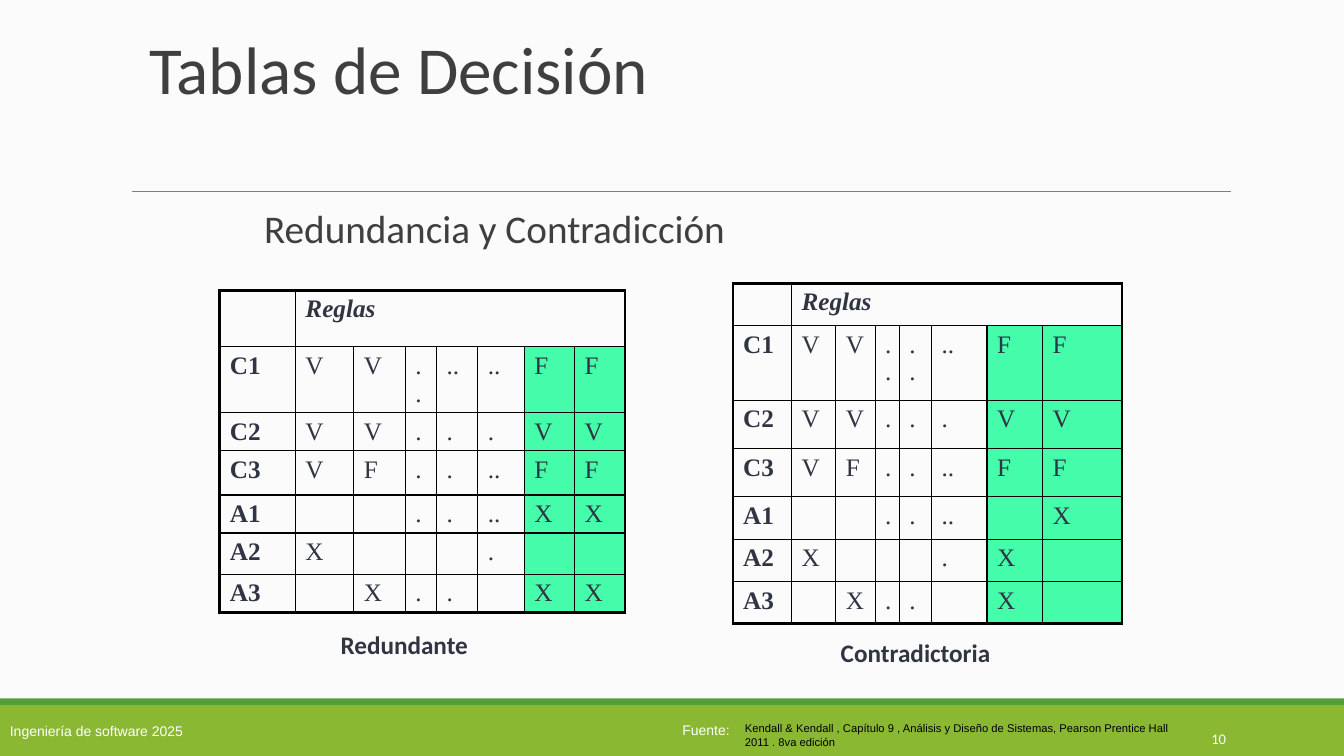
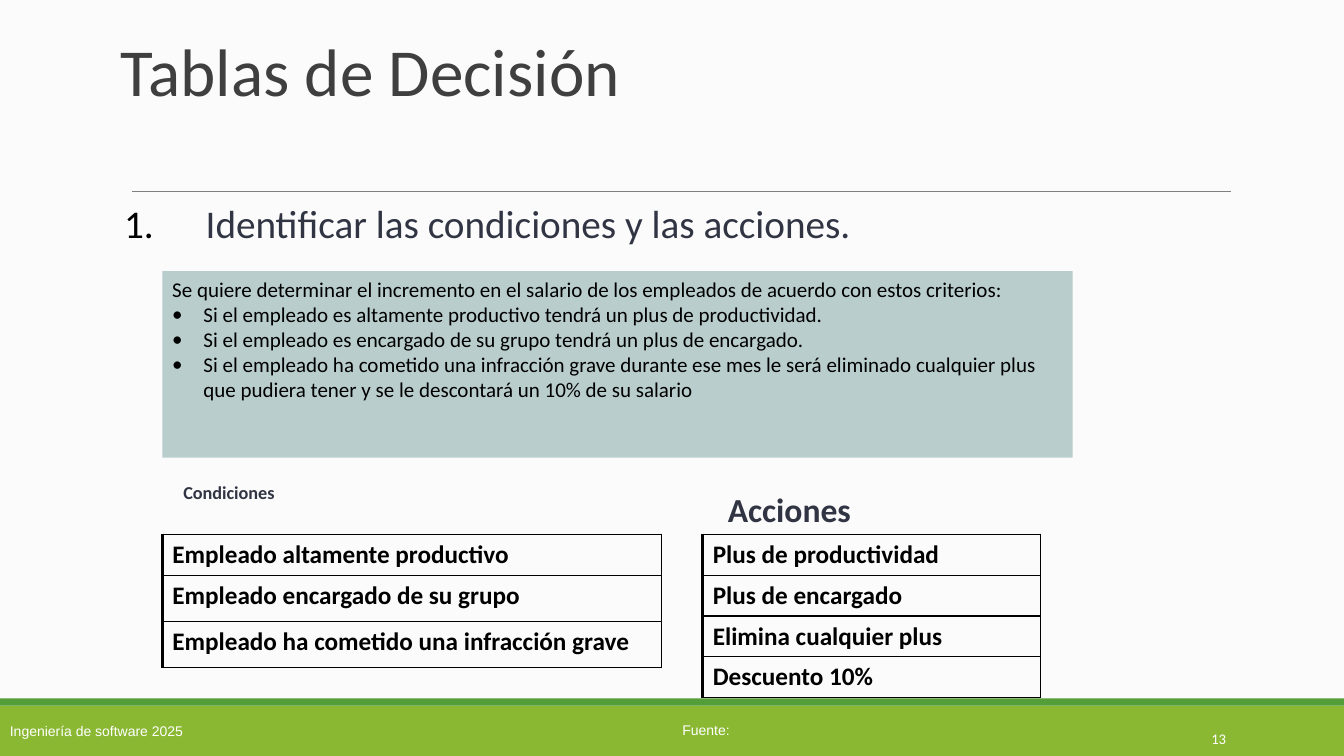
from lxml import etree
from pptx import Presentation
from pptx.dml.color import RGBColor
from pptx.enum.shapes import MSO_CONNECTOR, MSO_SHAPE
from pptx.enum.text import MSO_ANCHOR, MSO_AUTO_SIZE, PP_ALIGN
from pptx.oxml.ns import qn
from pptx.util import Inches, Pt

RECTANGLE = MSO_SHAPE.RECTANGLE
STRAIGHT = MSO_CONNECTOR.STRAIGHT
TOP, MIDDLE, BOTTOM = MSO_ANCHOR.TOP, MSO_ANCHOR.MIDDLE, MSO_ANCHOR.BOTTOM
LEFT, RIGHT = PP_ALIGN.LEFT, PP_ALIGN.RIGHT
NO_AUTOFIT = MSO_AUTO_SIZE.NONE

PAPER = RGBColor(0xFB, 0xFB, 0xFB)
GREEN = RGBColor(0x8A, 0xB8, 0x33)
DARK_GREEN = RGBColor(0x54, 0x9E, 0x39)
RULE_GRAY = RGBColor(0x7F, 0x7F, 0x7F)
TITLE_GRAY = RGBColor(0x3F, 0x3F, 0x3F)
INK = RGBColor(0x31, 0x35, 0x43)
MINT = RGBColor(0x44, 0xFC, 0xA9)
PANEL = RGBColor(0xB9, 0xCD, 0xCD)
BLACK = RGBColor(0, 0, 0)
WHITE = RGBColor(0xFF, 0xFF, 0xFF)

THIN, THICK = Pt(0.96), Pt(2.21)
SLIDE_WIDTH, SLIDE_HEIGHT = 13.33, 7.5


def style(size, color, name="Calibri", bold=False, italic=False):
    return {"size": Pt(size), "name": name, "bold": bold, "italic": italic}, color


TITLE = style(48, TITLE_GRAY)
SUBTITLE = style(28, TITLE_GRAY)
STEP = style(28, INK)
FOOTER = style(10, WHITE, "Arial")
CITATION = style(8, BLACK, "Arial")
PAGE_NUMBER = style(10.5, WHITE)
CAPTION = style(18, INK, bold=True)
CRITERIA = style(15, BLACK)
ITEM = style(18, BLACK, bold=True)
RULES_HEAD = style(18, INK, "Times New Roman", bold=True, italic=True)
RULE_NAME = style(18, INK, "Times New Roman", bold=True)
RULE_VALUE = style(18, INK, "Times New Roman")

# Content
HEADING = "Tablas de Decisión"
COURSE = "Ingeniería de software 2025"
SOURCE_LABEL = "Fuente:"
BOOK = ("Kendall & Kendall , Capítulo 9 , Análisis y Diseño de Sistemas, "
        "Pearson Prentice Hall 2011 . 8va edición")

# Rule columns that both decision tables share
COMMON_RULES = [
    ["C1", "V", "V", "..", "..", ".."],
    ["C2", "V", "V", ".", ".", "."],
    ["C3", "V", "F", ".", ".", ".."],
    ["A1", "", "", ".", ".", ".."],
    ["A2", "X", "", "", "", "."],
    ["A3", "", "X", ".", ".", ""],
]
DECISION_TABLES = [
    {"place": (7.27, 2.81),
     "columns": [0.58, 0.44, 0.39, 0.24, 0.32, 0.55, 0.55, 0.79],
     "rows": [0.42, 0.74, 0.48, 0.48, 0.42, 0.42, 0.42],
     "clash": ["FF", "VV", "FF", " X", "X ", "X "],
     "caption": ("Contradictoria", (8.24, 6.27, 1.75, 0.4))},
    {"place": (2.18, 2.88),
     "columns": [0.75, 0.58, 0.51, 0.31, 0.41, 0.46, 0.5, 0.5],
     "rows": [0.56, 0.64, 0.37, 0.44, 0.36, 0.41, 0.36],
     "clash": ["FF", "VV", "FF", "XX", "  ", "XX"],
     "caption": ("Redundante", (3.28, 6.19, 1.53, 0.4))},
]

CRITERIA_INTRO = ("Se quiere determinar el incremento en el salario de los empleados "
                  "de acuerdo con estos criterios:")
CRITERIA_LIST = [
    "Si el empleado es altamente productivo tendrá un plus de productividad.",
    "Si el empleado es encargado de su grupo tendrá un plus de encargado.",
    "Si el empleado ha cometido una infracción grave durante ese mes le será eliminado "
    "cualquier plus que pudiera tener y se le descontará un 10% de su salario",
]
ITEM_LISTS = [
    {"label": ("Condiciones", 13, (1.72, 4.73, 1.9, 0.32)),
     "place": (1.61, 5.3), "width": 4.95, "rows": [0.32, 0.46, 0.46],
     "items": ["Empleado altamente productivo", "Empleado encargado de su grupo",
               "Empleado ha cometido una infracción grave"]},
    {"label": ("Acciones", 24, (7.12, 4.8, 2.63, 0.5)),
     "place": (6.97, 5.3), "width": 3.35, "rows": [0.37] * 4,
     "items": ["Plus de productividad", "Plus de encargado",
               "Elimina cualquier plus", "Descuento 10%"]},
]


# Text helpers
def set_bullet(paragraph, kind, indent, hanging, **attributes):
    props = paragraph._p.get_or_add_pPr()
    props.set("marL", str(Inches(indent)))
    props.set("indent", str(-Inches(hanging)))
    if kind != "a:buNone":
        color = etree.SubElement(props, qn("a:buClr"))
        etree.SubElement(color, qn("a:srgbClr"), val=str(BLACK))
        etree.SubElement(props, qn("a:buFont"), typeface="Calibri")
    etree.SubElement(props, qn(kind), **attributes)


def write(paragraph, text, look, align=LEFT, spacing=1.0):
    font_values, color = look
    paragraph.alignment = align
    paragraph.line_spacing = spacing
    paragraph.space_before = Pt(0)
    run = paragraph.add_run()
    run.text = text
    for attribute, value in font_values.items():
        setattr(run.font, attribute, value)
    run.font.color.rgb = color


def set_frame(frame, anchor=TOP, wrap=True, margins=(0.1, 0.05, 0.1, 0.05)):
    values = dict(zip(("margin_left", "margin_top", "margin_right", "margin_bottom"),
                      map(Inches, margins)))
    values.update(auto_size=NO_AUTOFIT, vertical_anchor=anchor, word_wrap=wrap)
    for attribute, value in values.items():
        setattr(frame, attribute, value)
    return frame.paragraphs[0]


def place_shape(shape, box):
    for attribute, value in zip(("left", "top", "width", "height"), box):
        setattr(shape, attribute, Inches(value))


def add_label(slide, text, box, look, anchor=TOP, align=LEFT, wrap=True):
    label = slide.shapes.add_textbox(*map(Inches, box))
    write(set_frame(label.text_frame, anchor, wrap), text, look, align)


def add_block(slide, box, color):
    block = slide.shapes.add_shape(RECTANGLE, *map(Inches, box))
    block.shadow.inherit = False
    block.fill.solid()
    block.fill.fore_color.rgb = color
    block.line.fill.background()
    return block


# Table helpers
def set_borders(cell, widths):
    props = cell._tc.get_or_add_tcPr()
    for position, (side, width) in enumerate(zip(("lnL", "lnR", "lnT", "lnB"), widths)):
        line = etree.Element(qn(f"a:{side}"), w=str(width))
        fill = etree.SubElement(line, qn("a:solidFill"))
        etree.SubElement(fill, qn("a:srgbClr"), val=str(BLACK))
        props.insert(position, line)


def add_grid(slide, place, columns, rows, framed):
    """Bordered table; a framed one is thick all round, others only on the left."""
    size = sum(columns), sum(rows)
    grid = slide.shapes.add_table(len(rows), len(columns),
                                  *map(Inches, place + size)).table
    grid.first_row = grid.horz_banding = False
    for column, width in zip(grid.columns, columns):
        column.width = Inches(width)
    for r, height in enumerate(rows):
        grid.rows[r].height = Inches(height)
        for c in range(len(columns)):
            cell = grid.cell(r, c)
            cell.fill.background()
            edges = (c == 0, framed and c == len(columns) - 1,
                     framed and r == 0, framed and r == len(rows) - 1)
            set_borders(cell, [THICK if edge else THIN for edge in edges])
    return grid


def fill_cell(cell, text, look):
    paragraph = cell.text_frame.paragraphs[0]
    if text:
        write(paragraph, text, look)
    else:
        etree.SubElement(paragraph._p, qn("a:endParaRPr"), sz="1200")


def add_decision_table(slide, spec_table):
    grid = add_grid(slide, spec_table["place"], spec_table["columns"],
                    spec_table["rows"], framed=True)
    last = len(spec_table["columns"]) - 1
    header = grid.cell(0, 1)
    header.merge(grid.cell(0, last))
    set_borders_right = header._tc.tcPr.find(qn("a:lnR"))
    set_borders_right.set("w", str(THICK))
    fill_cell(grid.cell(0, 0), "", RULE_NAME)
    fill_cell(header, "Reglas", RULES_HEAD)
    for r, (common, clash) in enumerate(zip(COMMON_RULES, spec_table["clash"]), start=1):
        for c, value in enumerate(common + list(clash)):
            cell = grid.cell(r, c)
            fill_cell(cell, value.strip(), RULE_VALUE if c else RULE_NAME)
            if c >= len(common):
                cell.fill.solid()
                cell.fill.fore_color.rgb = MINT
    add_label(slide, *spec_table["caption"], CAPTION)


# Shared slide parts
def add_slide(prs, number, title_box, title_margins):
    slide = prs.slides.add_slide(prs.slide_layouts[1])
    band = add_block(slide, (0, 7, SLIDE_WIDTH, 0.5), GREEN)
    write(set_frame(band.text_frame, MIDDLE), COURSE, FOOTER)
    add_block(slide, (0, 6.93, SLIDE_WIDTH, 0.07), DARK_GREEN)
    rule = slide.shapes.add_connector(STRAIGHT, *map(Inches, (1.31, 1.9, 12.21, 1.9)))
    rule.line.color.rgb = RULE_GRAY
    rule.line.width = Pt(0.75)
    etree.SubElement(rule._element.spPr, qn("a:effectLst"))
    add_label(slide, SOURCE_LABEL, (6.67, 7.11, 0.67, 0.26), FOOTER, wrap=False)
    add_label(slide, str(number), (10.83, 7.06, 1.43, 0.4), PAGE_NUMBER, BOTTOM, RIGHT)

    title = slide.shapes.title
    place_shape(title, title_box)
    write(set_frame(title.text_frame, margins=title_margins), HEADING, TITLE, spacing=0.85)
    return slide


def build_redundancy(prs):
    slide = add_slide(prs, 10, (1.38, 0.39, 11.29, 1.25), (0.1, 0, 0.1, 0))
    subtitle = slide.placeholders[1]
    place_shape(subtitle, (2.33, 2.1, 11, 0.6))
    paragraph = set_frame(subtitle.text_frame, margins=(0, 0, 0, 0))
    set_bullet(paragraph, "a:buNone", 0.29, 0)
    write(paragraph, "Redundancia y Contradicción", SUBTITLE, spacing=0.85)
    for decision_table in DECISION_TABLES:
        add_decision_table(slide, decision_table)
    add_label(slide, BOOK, (7.29, 7.11, 4.64, 0.36), CITATION)


def build_conditions(prs):
    slide = add_slide(prs, 13, (1.2, 0.31, 11, 1.59), (0, 0.1, 0, 0))
    step = slide.placeholders[1]
    place_shape(step, (1.13, 1.93, 11.67, 0.7))
    paragraph = set_frame(step.text_frame)
    set_bullet(paragraph, "a:buAutoNum", 0.81, 0.81, type="arabicPeriod")
    write(paragraph, "Identificar las condiciones y las acciones.", STEP)

    # Criteria panel
    panel = add_block(slide, (1.61, 2.69, 9.03, 1.85), PANEL)
    write(set_frame(panel.text_frame), CRITERIA_INTRO, CRITERIA)
    for criterion in CRITERIA_LIST:
        paragraph = panel.text_frame.add_paragraph()
        set_bullet(paragraph, "a:buChar", 0.31, 0.31, char="•")
        write(paragraph, criterion, CRITERIA)

    # Conditions and actions
    for group in ITEM_LISTS:
        text, size, box = group["label"]
        add_label(slide, text, box, style(size, INK, bold=True))
        grid = add_grid(slide, group["place"], [group["width"]], group["rows"], framed=False)
        for r, item in enumerate(group["items"]):
            fill_cell(grid.cell(r, 0), item, ITEM)


def main():
    prs = Presentation()
    prs.slide_width, prs.slide_height = Inches(SLIDE_WIDTH), Inches(SLIDE_HEIGHT)
    background = prs.slide_master.background.fill
    background.solid()
    background.fore_color.rgb = PAPER
    build_redundancy(prs)
    build_conditions(prs)
    prs.save("out.pptx")


if __name__ == "__main__":
    main()
